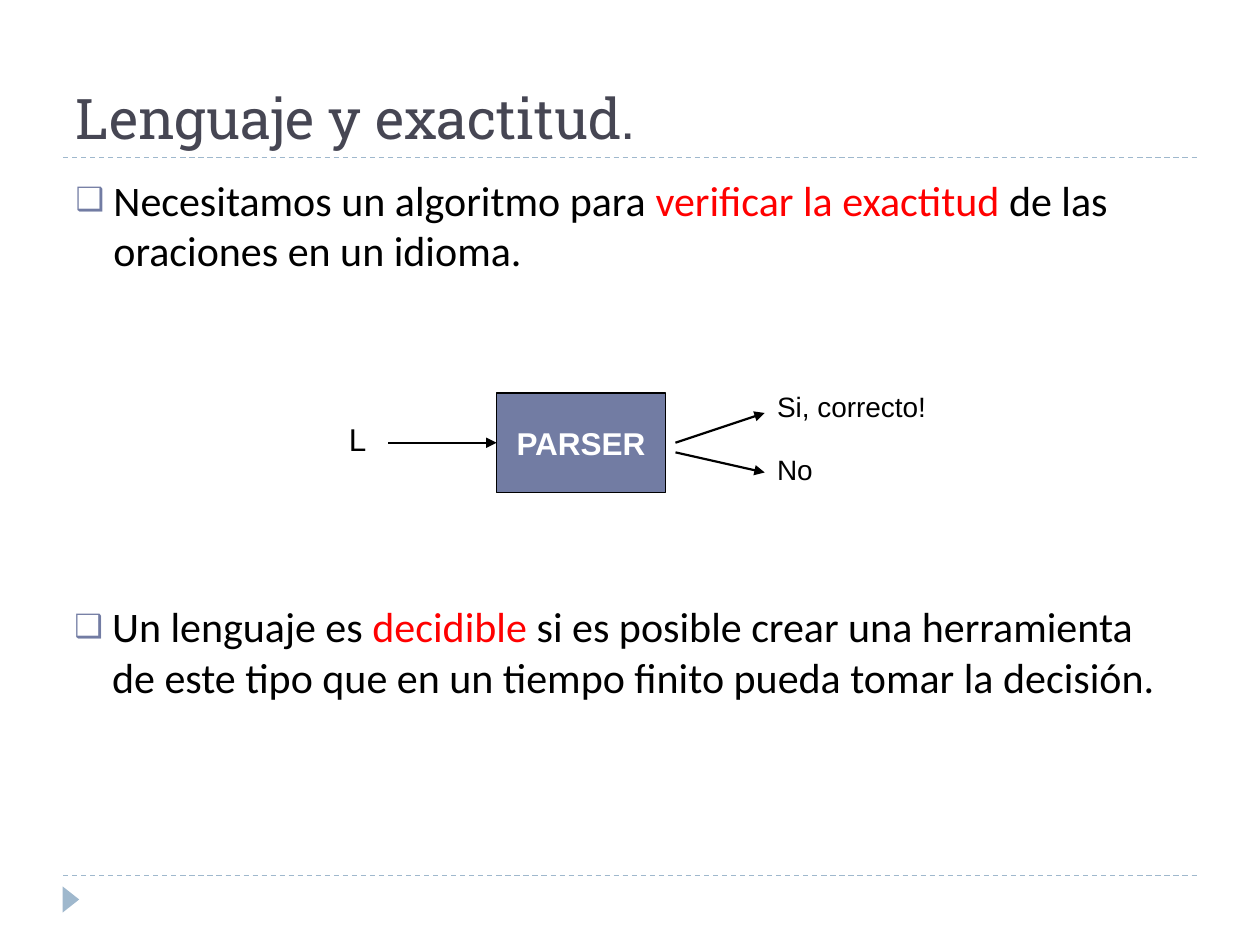
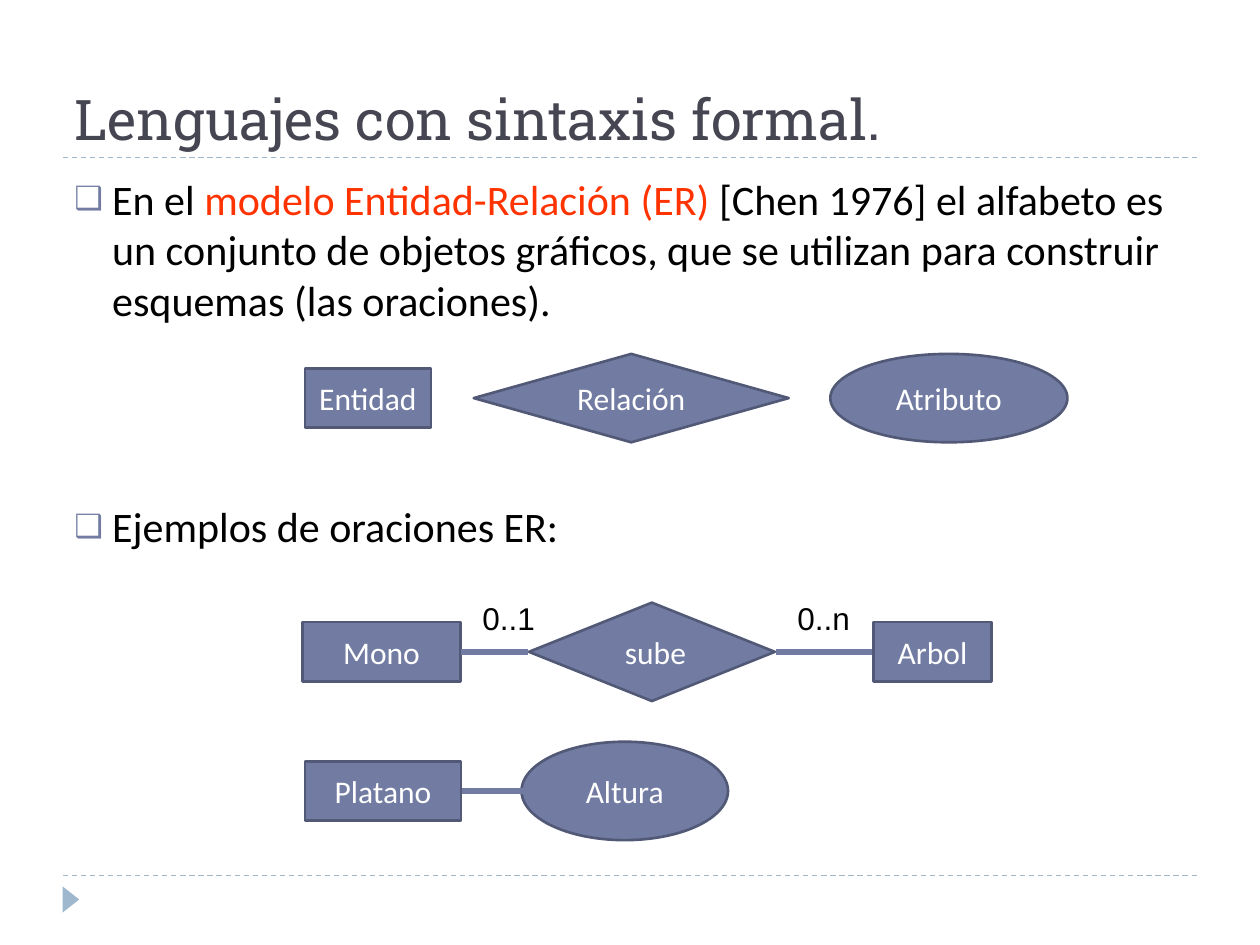
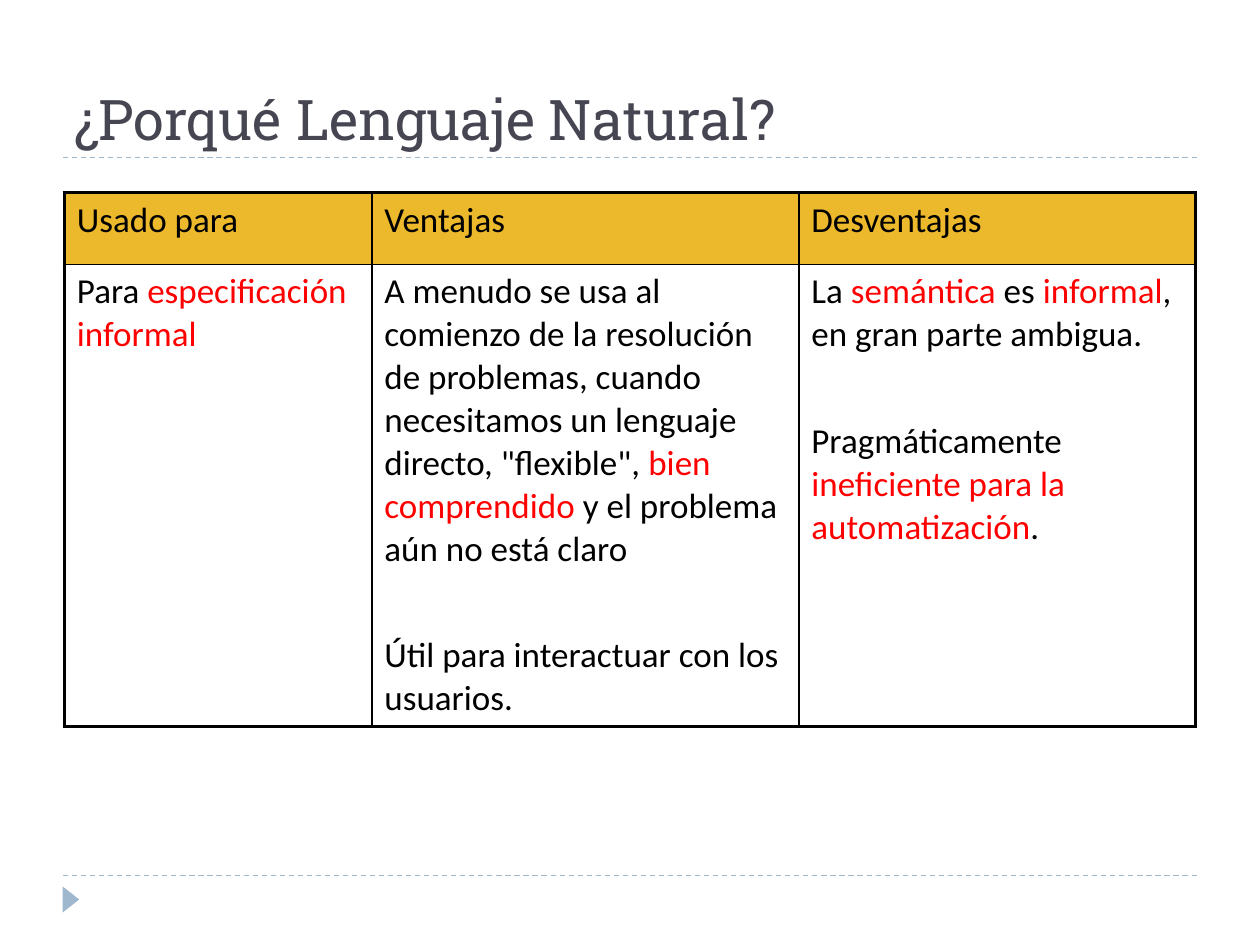
from itertools import product
from lxml import etree
from pptx import Presentation
from pptx.dml.color import RGBColor
from pptx.enum import dml, shapes, text
from pptx.oxml import parse_xml
from pptx.oxml.ns import nsdecls, qn
from pptx.util import Pt

BLACK, WHITE, RED, FLAME = "000000", "FFFFFF", "FF0000", "FF3300"
SLATE, EDGE, SKY, INK, GOLD = "727CA3", "525977", "9FB8CD", "464653", "EBB92B"
KIND = shapes.MSO_SHAPE
INSETS = [(7.2, 3.6), (6.5, 3), (6.5, 3)]


def paint(fill, hue):
    """Make a shape, line or font fill solid in a hex colour."""
    fill.solid()
    fill.fore_color.rgb = RGBColor.from_string(hue)


def write(par, runs, size, face="Calibri"):
    """Add (words, colour) runs to a paragraph."""
    for words, hue in runs:
        run = par.add_run()
        run.text = words
        run.font.size = Pt(size)
        run.font.name = face
        paint(run.font.fill, hue)


deck = Presentation()
deck.slide_width, deck.slide_height = Pt(720), Pt(540)

# Titles: two slides with two lists each, one with a title only
titles = [
    (3, "Lenguaje y exactitud."),
    (3, "Lenguajes con sintaxis formal."),
    (5, "¿Porqué Lenguaje Natural?"),
]
pages = []
for (kind, words), (side, edge) in zip(titles, INSETS):
    page = deck.slides.add_slide(deck.slide_layouts[kind])
    pages.append(page)
    head = page.shapes.title
    head.left, head.top, head.width, head.height = Pt(36), Pt(12.25), Pt(648), Pt(77.75)
    frame = head.text_frame
    frame.auto_size = text.MSO_AUTO_SIZE.NONE
    frame.vertical_anchor = text.MSO_ANCHOR.BOTTOM
    frame.margin_left = frame.margin_right = Pt(side)
    frame.margin_top = frame.margin_bottom = Pt(edge)
    frame.paragraphs[0].alignment = text.PP_ALIGN.LEFT
    write(frame.paragraphs[0], [(words, INK)], 32, "Roboto Slab")

# Bulleted lists: slide, placeholder, place, runs
lists = [
    (0, 1, (36, 96, 648, 72), [
        ("Necesitamos un algoritmo para ", BLACK),
        ("verificar la exactitud ", RED),
        ("de las oraciones en un idioma.", BLACK)]),
    (0, 2, (35.25, 339.75, 648, 72), [
        ("Un lenguaje es ", BLACK),
        ("decidible ", RED),
        ("si es posible crear una herramienta de este tipo que en un tiempo "
         "finito pueda tomar la decisión.", BLACK)]),
    (1, 1, (36, 96, 658.75, 105.75), [
        ("En el ", BLACK),
        ("modelo Entidad-Relación (ER) ", FLAME),
        ("[Chen 1976] el alfabeto es un conjunto de objetos gráficos, que se "
         "utilizan para construir esquemas (las oraciones).", BLACK)]),
    (1, 2, (36, 283.25, 658.75, 45.25), [("Ejemplos de oraciones ER:", BLACK)]),
]
for num, slot, place, runs in lists:
    body = pages[num].placeholders[slot]
    body.left, body.top, body.width, body.height = map(Pt, place)
    frame = body.text_frame
    frame.auto_size = text.MSO_AUTO_SIZE.NONE
    side, edge = INSETS[num]
    frame.margin_left = frame.margin_right = Pt(side)
    frame.margin_top = frame.margin_bottom = Pt(edge)
    par = frame.paragraphs[0]
    par.space_before = Pt(6)
    write(par, runs, 24)
    props = par._p.get_or_add_pPr()
    props.set("marL", str(Pt(21.6)))
    props.set("indent", str(Pt(-21.6)))
    tint = etree.SubElement(props, qn("a:buClr"))
    etree.SubElement(tint, qn("a:srgbClr"), val=SLATE)
    etree.SubElement(props, qn("a:buSzPct"), val="76000")
    etree.SubElement(props, qn("a:buChar"), char="❑")

# Filled boxes, centred on the middle line of their row:
# slide, kind, left, middle, width, height, words
boxes = [
    (0, KIND.RECTANGLE, 283.75, 253, 96.5, 57, "PARSER"),
    (1, KIND.RECTANGLE, 174.25, 227.5, 72, 34, "Entidad"),
    (1, KIND.DIAMOND, 270.75, 227.5, 180, 50.5, "Relación"),
    (1, KIND.OVAL, 474.5, 227.5, 135.5, 50.5, "Atributo"),
    (1, KIND.RECTANGLE, 173, 372.5, 90, 34, "Mono"),
    (1, KIND.DIAMOND, 302.25, 372.5, 140.5, 56.25, " sube"),
    (1, KIND.RECTANGLE, 499, 372.5, 67.75, 34, "Arbol"),
    (1, KIND.RECTANGLE, 174.25, 452, 89.25, 34, "Platano"),
    (1, KIND.FLOWCHART_CONNECTOR, 298, 452, 118, 56.25, "Altura"),
]
for num, kind, left, mid, wide, high, words in boxes:
    box = pages[num].shapes.add_shape(kind, Pt(left), Pt(mid - high / 2), Pt(wide), Pt(high))
    box.shadow.inherit = False
    paint(box.fill, SLATE)
    paint(box.line.fill, EDGE if num else BLACK)
    box.line.width = Pt(1.5 if num else 0.75)
    box.text_frame.vertical_anchor = text.MSO_ANCHOR.MIDDLE
    par = box.text_frame.paragraphs[0]
    par.alignment = text.PP_ALIGN.CENTER
    write(par, [(words, WHITE)], 18, "Calibri" if num else "Arial")
    par.runs[0].font.bold = num == 0

# Plain labels: slide, place, words, size
labels = [
    (0, (192.25, 236.25, 26, 29), "L", 18),
    (0, (437, 219, 104, 26.75), "Si, correcto!", 16),
    (0, (437, 255, 40, 26.75), "No", 16),
    (1, (268.5, 338.5, 46, 29), "0..1", 18),
    (1, (448.5, 338.5, 46, 29), "0..n", 18),
]
for num, place, words, size in labels:
    label = pages[num].shapes.add_textbox(*map(Pt, place))
    label.text_frame.word_wrap = False
    label.text_frame.auto_size = text.MSO_AUTO_SIZE.NONE
    par = label.text_frame.paragraphs[0]
    par.alignment = text.PP_ALIGN.LEFT
    write(par, [(words, BLACK)], size, "Arial")

# Lines: look and ends; dashed rules belong to the master
master = deck.slide_master.shapes.element
looks = {"arrow": (BLACK, 1.25), "link": (SLATE, 3.75), "rule": (SKY, 0.75)}
lines = [
    (0, "arrow", (221.75, 253, 283.75, 253)),
    (0, "arrow", (386, 253, 437, 236)),
    (0, "arrow", (386, 258.5, 437, 270)),
    (1, "link", (263.5, 372.5, 301.75, 372.5)),
    (1, "link", (443.5, 372.5, 498.25, 372.5)),
    (1, "link", (264.25, 452, 302.5, 452)),
    (0, "rule", (36, 90, 684, 90)),
    (0, "rule", (36, 500.5, 684, 500.5)),
]
for num, look, ends in lines:
    line = pages[num].shapes.add_connector(shapes.MSO_CONNECTOR.STRAIGHT, *map(Pt, ends))
    hue, width = looks[look]
    paint(line.line.fill, hue)
    line.line.width = Pt(width)
    props = line.element.spPr
    etree.SubElement(props, qn("a:effectLst"))
    if look == "arrow":
        etree.SubElement(props.find(qn("a:ln")), qn("a:tailEnd"), type="triangle")
    elif look == "rule":
        line.line.dash_style = dml.MSO_LINE.DASH
        master.append(line.element)

mark = pages[0].shapes.add_shape(KIND.ISOSCELES_TRIANGLE, Pt(33), Pt(509.25), Pt(15), Pt(9.5))
mark.rotation = 90
mark.shadow.inherit = False
paint(mark.fill, SKY)
mark.line.fill.background()
master.append(mark.element)

# Table: rows of cells, cells of paragraphs, paragraphs of runs
rows = [
    [[[(name, BLACK)]] for name in ("Usado para", "Ventajas", "Desventajas")],
    [
        [[("Para ", BLACK), ("especificación informal", RED)]],
        [[("A menudo se usa al comienzo de la resolución de problemas, cuando "
           "necesitamos un lenguaje directo, \"flexible\", ", BLACK),
          ("bien comprendido", RED),
          (" y el problema aún no está claro", BLACK)],
         [("Útil para interactuar con los usuarios.", BLACK)]],
        [[("La ", BLACK), ("semántica", RED), (" es ", BLACK),
          ("informal", RED), (", en gran parte ambigua.", BLACK)],
         [("Pragmáticamente ", BLACK),
          ("ineficiente para la automatización", RED), (".", BLACK)]],
    ],
]
wides, highs = [175.75, 244, 226.75], [41, 259.25]
grid = pages[2].shapes.add_table(
    2, 3, Pt(36.75), Pt(110), Pt(sum(wides)), Pt(sum(highs))).table
grid.first_row = grid.horz_banding = False
for col, wide in zip(grid.columns, wides):
    col.width = Pt(wide)
for row, high in zip(grid.rows, highs):
    row.height = Pt(high)
for r, c in product(range(2), range(3)):
    cell = grid.cell(r, c)
    if r == 0:
        paint(cell.fill, GOLD)
    else:
        cell.fill.background()
    for n, runs in enumerate(rows[r][c]):
        par = cell.text_frame.add_paragraph() if n else cell.text_frame.paragraphs[0]
        par.space_before = Pt(36.4 if n else 6)
        write(par, runs, 20)
    outer = {"L": c == 0, "R": c == 2, "T": r == 0, "B": r == 1}
    props = cell._tc.get_or_add_tcPr()
    for n, (side, thick) in enumerate(outer.items()):
        props.insert(n, parse_xml(
            f'<a:ln{side} {nsdecls("a")} w="{Pt(2.25 if thick else 1)}"><a:solidFill>'
            f'<a:srgbClr val="{BLACK}"/></a:solidFill></a:ln{side}>'))

deck.save("out.pptx")
